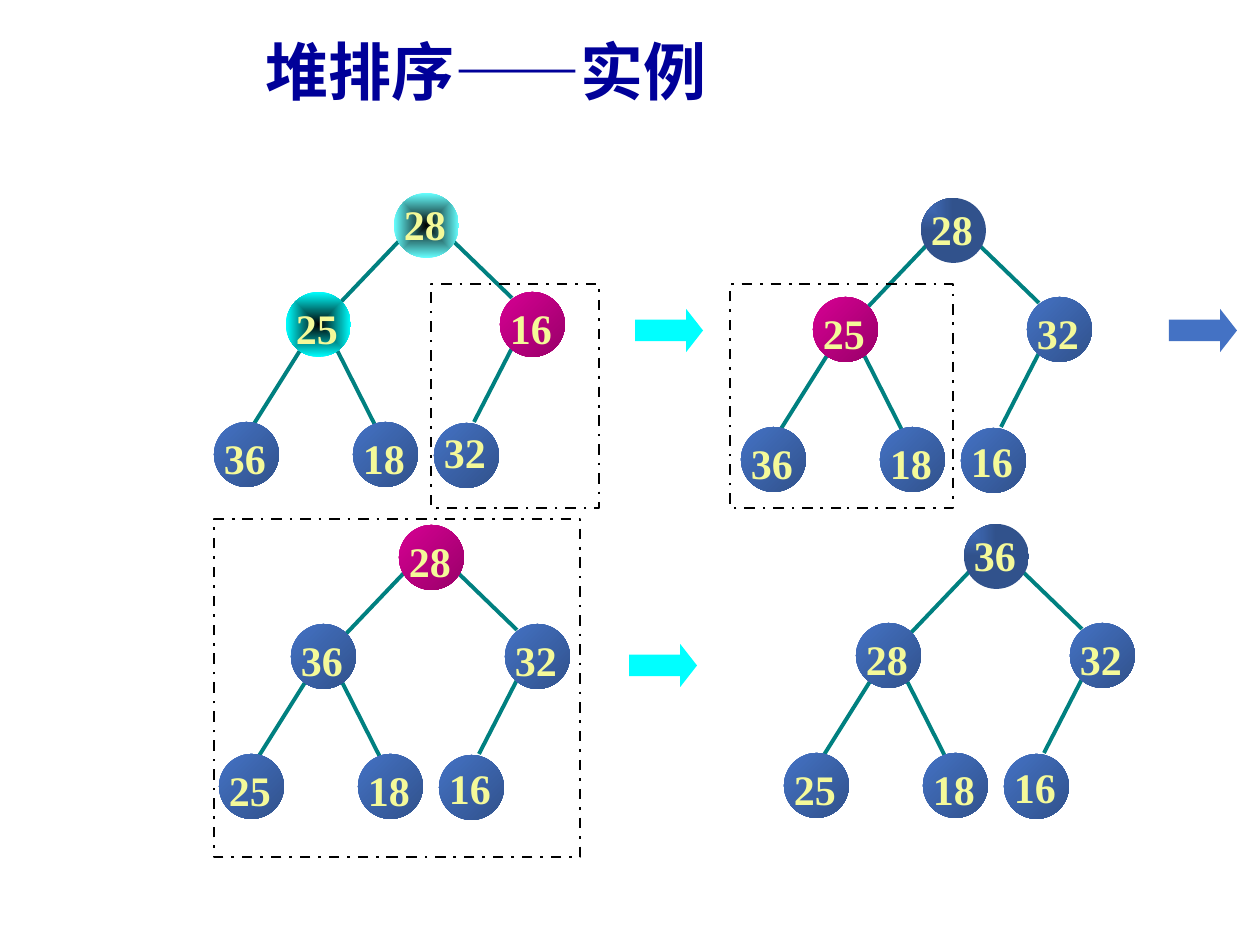
import dataclasses

import pptx
import pptx.dml.color
import pptx.enum.dml
import pptx.enum.shapes
import pptx.enum.text
import pptx.oxml
import pptx.oxml.ns
import pptx.util

PX = 914400 // 126
SHAPE = pptx.enum.shapes.MSO_SHAPE
ALIGN = pptx.enum.text.PP_ALIGN
ANCHOR = pptx.enum.text.MSO_ANCHOR


@dataclasses.dataclass(frozen=True)
class Theme:
    title_font: str = "Noto Sans CJK SC"
    node_font: str = "Times New Roman"
    title_size: int = 36
    node_size: int = 24
    title: str = "000099"
    label: str = "F4F999"
    edge: str = "008080"
    frame: str = "000000"
    cyan: str = "00FFFF"
    blue: str = "4472C4"
    edge_width: float = 2.25
    frame_width: float = 1.5


THEME = Theme()

GRADIENTS = {
    "normal": (THEME.blue, "31528C", None, None),
    "root": (THEME.blue, "31528C", "rect", (0, 0, 100, 100)),
    "active": ("D60093", "990069", None, None),
    "glow": ("000000", THEME.cyan, "shape", (50, 50, 50, 50)),
    "pale glow": ("000000", "66FFFF", "shape", (50, 50, 50, 50)),
}

NODE_SIZE = 65
NODES = [(0, 0), (-108, 99), (106, 99), (-180, 229), (-41, 229), (40, 230)]
EDGES = [
    (57, 46, 118, 105),
    (5, 48, -55, 111),
    (-93, 156, -142, 234),
    (-58, 155, -18, 234),
    (118, 155, 80, 229),
]

TREES = [
    (394, 193, [28, 25, 16, 36, 18, 32], {0: "pale glow", 1: "glow", 2: "active"}, {0: 1, 5: -1}),
    (921, 198, [28, 25, 32, 36, 18, 16], {0: "root", 1: "active"}, {0: 1, 5: 3}),
    (399, 525, [28, 36, 32, 25, 18, 16], {0: "active"}, {5: 3}),
    (964, 524, [36, 28, 32, 25, 18, 16], {0: "root"}, {0: 1, 5: 3}),
]

ARROWS = [(635, 309, THEME.cyan), (1169, 309, THEME.blue), (629, 644, THEME.cyan)]
FRAMES = [(431, 284, 168, 224), (730, 284, 223, 224), (214, 519, 366, 338)]


def px(*values):
    return [pptx.util.Emu(v * PX) for v in values]


def rgb(value):
    return pptx.dml.color.RGBColor.from_string(value)


def add_text(slide, box, text, font, size, color, insets, align, anchor):
    s = slide.shapes.add_textbox(*px(*box))
    tf = s.text_frame
    tf.text = text
    tf.word_wrap = True
    tf.vertical_anchor = anchor
    tf.margin_left, tf.margin_top, tf.margin_right, tf.margin_bottom = px(*insets)
    p = tf.paragraphs[0]
    p.alignment = align
    r = p.runs[0]
    r.font.name = font
    r.font.size = pptx.util.Pt(size)
    r.font.bold = True
    r.font.color.rgb = rgb(color)
    ea = pptx.oxml.parse_xml(f'<a:ea {pptx.oxml.ns.nsdecls("a")} typeface="{font}"/>')
    r.font._element.find(pptx.oxml.ns.qn("a:latin")).addnext(ea)


def add_shape(slide, kind, box):
    s = slide.shapes.add_shape(kind, *px(*box))
    s.shadow.inherit = False
    return s


def fill_gradient(s, style):
    first, last, shape, focus = GRADIENTS[style]
    s.fill.gradient()
    s.fill.gradient_angle = 315
    for stop, color, position in zip(s.fill.gradient_stops, (first, last), (0, 1)):
        stop.color.rgb = rgb(color)
        stop.position = position
    if shape:
        sides = " ".join(f'{side}="{v * 1000}"' for side, v in zip("ltrb", focus))
        radial = pptx.oxml.parse_xml(
            f'<a:path {pptx.oxml.ns.nsdecls("a")} path="{shape}">'
            f"<a:fillToRect {sides}/></a:path>"
        )
        lin = s._element.spPr.find(".//" + pptx.oxml.ns.qn("a:lin"))
        lin.getparent().replace(lin, radial)


def add_node(slide, x, y, value, style, label_drop):
    s = add_shape(slide, SHAPE.OVAL, (x, y, NODE_SIZE, NODE_SIZE))
    s.line.fill.background()
    fill_gradient(s, style)
    add_text(slide, (x + 6, y + label_drop, 49, 71), str(value), THEME.node_font,
             THEME.node_size, THEME.label, (1, 4, 0, 1), ALIGN.CENTER, ANCHOR.TOP)


def add_edge(slide, x1, y1, x2, y2):
    s = slide.shapes.add_connector(
        pptx.enum.shapes.MSO_CONNECTOR.STRAIGHT, *px(x1, y1, x2, y2))
    s.line.color.rgb = rgb(THEME.edge)
    s.line.width = pptx.util.Pt(THEME.edge_width)
    s._element.spPr.append(
        pptx.oxml.parse_xml(f'<a:effectLst {pptx.oxml.ns.nsdecls("a")}/>'))


def add_tree(slide, left, top, values, styles, drops):
    for x1, y1, x2, y2 in EDGES:
        add_edge(slide, left + x1, top + y1, left + x2, top + y2)
    for i, ((x, y), value) in enumerate(zip(NODES, values)):
        add_node(slide, left + x, top + y, value, styles.get(i, "normal"), drops.get(i, 6))


def add_arrow(slide, x, y, color):
    s = add_shape(slide, SHAPE.RIGHT_ARROW, (x, y, 68, 43))
    s.adjustments[0] = 0.5
    s.adjustments[1] = 0.39
    s.fill.solid()
    s.fill.fore_color.rgb = rgb(color)
    s.line.fill.background()


def add_frame(slide, *box):
    s = add_shape(slide, SHAPE.RECTANGLE, box)
    s.fill.background()
    s.line.color.rgb = rgb(THEME.frame)
    s.line.width = pptx.util.Pt(THEME.frame_width)
    s.line.dash_style = pptx.enum.dml.MSO_LINE.DASH_DOT


def main():
    prs = pptx.Presentation()
    prs.slide_width, prs.slide_height = pptx.util.Inches(10), pptx.util.Inches(7.5)
    slide = prs.slides.add_slide(prs.slide_layouts[6])
    add_text(slide, (253, 26, 596, 88), "堆排序——实例", THEME.title_font,
             THEME.title_size, THEME.title, (13, 6, 13, 6), ALIGN.LEFT, ANCHOR.MIDDLE)
    for tree in TREES:
        add_tree(slide, *tree)
    for arrow in ARROWS:
        add_arrow(slide, *arrow)
    for frame in FRAMES:
        add_frame(slide, *frame)
    prs.save("out.pptx")


if __name__ == "__main__":
    main()
